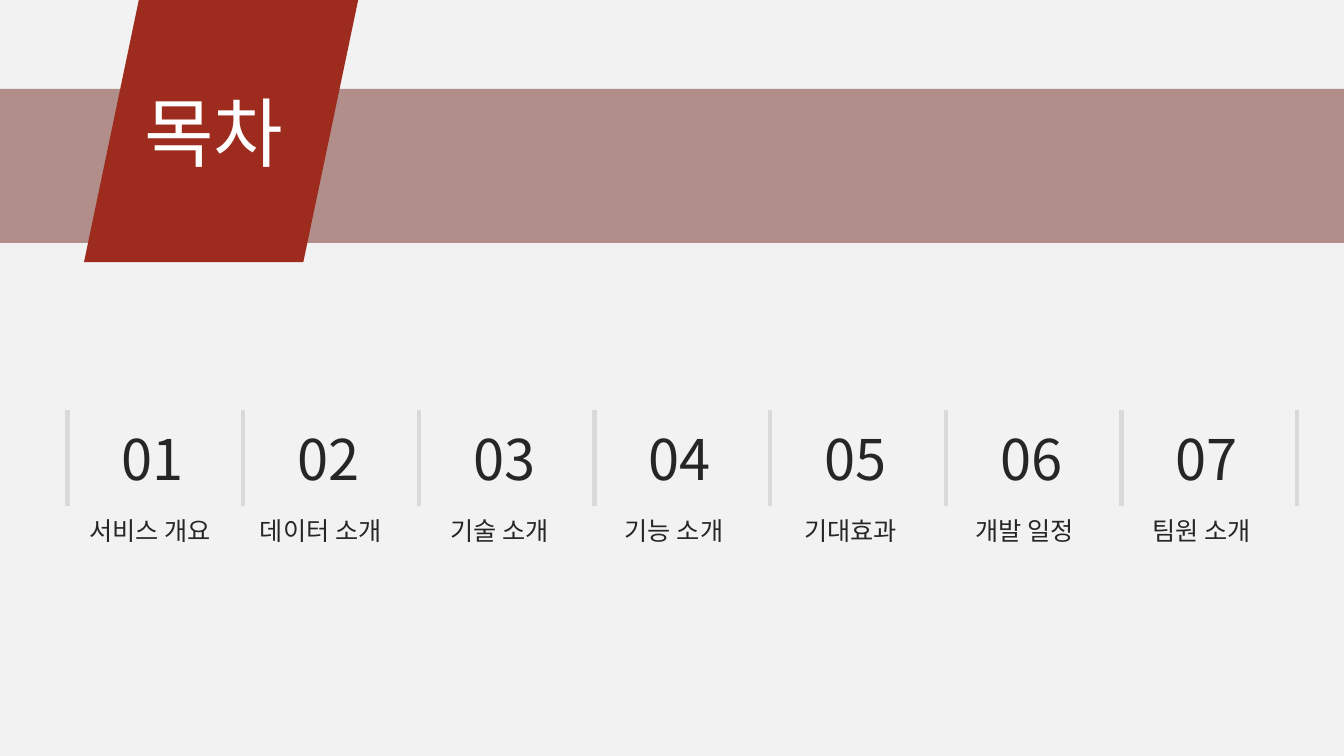
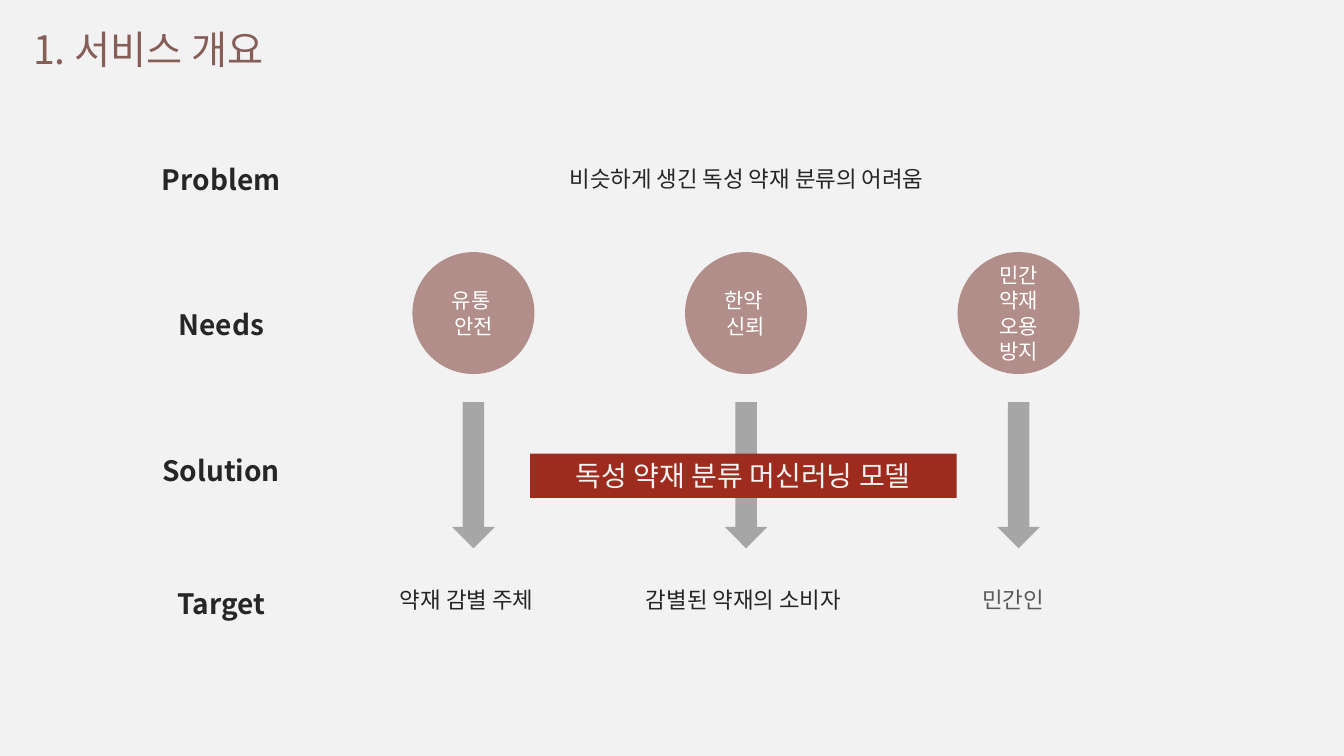
from lxml import etree
from pptx import Presentation, util as u
from pptx.dml.color import RGBColor
from pptx.enum import shapes, text
from pptx.oxml import ns

PAPER = RGBColor(0xF2, 0xF2, 0xF2)
WHITE = RGBColor(0xFF, 0xFF, 0xFF)
INK = RGBColor(0x26, 0x26, 0x26)
SOFT = RGBColor(0x59, 0x59, 0x59)
BROWN = RGBColor(0x86, 0x5E, 0x58)
ROSE = RGBColor(0xB1, 0x8E, 0x89)
RED = RGBColor(0x9E, 0x2C, 0x1E)
GREY = RGBColor(0xA6, 0xA6, 0xA6)
RULE = RGBColor(0xD9, 0xD9, 0xD9)
FONT = "Noto Sans CJK KR"
KIND = shapes.MSO_SHAPE
MID = text.MSO_ANCHOR.MIDDLE
TOP = text.MSO_ANCHOR.TOP


class Deck:
    """Style and current slide; lengths are percentages of the slide's size."""

    def __init__(self):
        self.prs = Presentation()
        self.prs.slide_width = u.Inches(13.33)
        self.prs.slide_height = u.Inches(7.5)
        self.page = None

    def add(self):
        self.page = self.prs.slides.add_slide(self.prs.slide_layouts[6])
        fill = self.page.background.fill
        fill.solid()
        fill.fore_color.rgb = PAPER

    def area(self, x, y, w, h):
        wide, high = self.prs.slide_width, self.prs.slide_height
        return [int(part * full / 100) for part, full in
                ((x, wide), (y, high), (w, wide), (h, high))]

    def typeset(self, frame, lines, size, color, bold=False, center=True):
        """Put each line in its own paragraph and return the runs."""
        runs = []
        for i, line in enumerate(lines):
            para = frame.add_paragraph() if i else frame.paragraphs[0]
            para.alignment = text.PP_ALIGN.CENTER if center else text.PP_ALIGN.LEFT
            run = para.add_run()
            run.text = line
            font = run.font
            font.size, font.bold, font.name = u.Pt(size), bold, FONT
            font.color.rgb = color
            etree.SubElement(run._r.rPr, ns.qn("a:ea")).set("typeface", FONT)
            runs.append(run)
        return runs

    def shape(self, kind, box, fill, lines=(), size=15, color=WHITE, anchor=MID):
        item = self.page.shapes.add_shape(kind, *self.area(*box))
        item.shadow.inherit = False
        item.fill.solid()
        item.fill.fore_color.rgb = fill
        item.line.fill.background()
        item.text_frame.vertical_anchor = anchor
        self.typeset(item.text_frame, lines, size, color)

    def label(self, box, line, size, color=INK, bold=False, center=True,
              wrap=True, grow=True, anchor=TOP):
        frame = self.page.shapes.add_textbox(*self.area(*box)).text_frame
        frame.word_wrap = wrap
        frame.vertical_anchor = anchor
        fit = text.MSO_AUTO_SIZE
        frame.auto_size = fit.SHAPE_TO_FIT_TEXT if grow else fit.NONE
        return self.typeset(frame, [line], size, color, bold, center)[0]

    def title(self, line):
        """Add a heading with a fine, translucent outline."""
        run = self.label((1.73, 2.53, 67.65, 7.73), line, 28, BROWN,
                         center=False, grow=False, anchor=MID)
        edge = etree.Element(ns.qn("a:ln"), w=str(u.Pt(0.25)))
        fill = etree.SubElement(edge, ns.qn("a:solidFill"))
        tint = etree.SubElement(fill, ns.qn("a:srgbClr"), val=str(RULE))
        etree.SubElement(tint, ns.qn("a:alpha"), val="20000")
        run._r.rPr.insert(0, edge)

    def rule(self, x, top, end):
        left, y, _, high = self.area(x, top, 0, end - top)
        line = self.page.shapes.add_connector(
            shapes.MSO_CONNECTOR.STRAIGHT, left, y, left, y + high)
        line.line.color.rgb = RULE
        line.line.width = u.Pt(3)
        etree.SubElement(line._element.spPr, ns.qn("a:effectLst"))


def contents(deck):
    deck.add()
    deck.shape(KIND.RECTANGLE, (0, 11.75, 100, 20.4), ROSE)
    deck.shape(KIND.FLOWCHART_DATA, (6.25, 0, 20.4, 34.67), RED)
    deck.label((10, 10.67, 12.9, 13.47), "목차", 54, WHITE,
               center=False, wrap=False)
    topics = [("서비스 개요", 5.93, 11.63), ("데이터 소개", 18.6, 11.63),
              ("기술 소개", 32.78, 9.75), ("기능 소개", 45.75, 9.75),
              ("기대효과", 59.1, 9.08), ("개발 일정", 71.85, 9.75),
              ("팀원 소개", 84.98, 9.75)]
    start, step = 5.03, 13.07
    for i, (name, left, wide) in enumerate(topics):
        x = start + step * i
        deck.rule(x, 54.27, 66.93)
        deck.label((x + 3.3, 55.47, 6.15, 10.27), f"{i + 1:02}", 40,
                   center=False, wrap=False)
        deck.label((left, 67.47, wide, 5.33), name, 18,
                   center=False, wrap=False)
    deck.rule(start + step * len(topics), 54.27, 66.93)


def outline(deck):
    deck.add()
    deck.title("1. 서비스 개요")
    for name, y, wide in (("Problem", 20.8, 14.55), ("Needs", 40, 12.23),
                          ("Solution", 59.33, 17.48), ("Target", 76.93, 12.23)):
        deck.label((16.46 - wide / 2, y, wide, 5.87), name, 20, bold=True)
    deck.label((34.05, 21.2, 43, 4.93), "비슷하게 생긴 독성 약재 분류의 어려움", 16)

    needs = [
        (["유통 ", "안전"], "약재 감별 주체", 25.2, 19.05, INK),
        (["한약 ", "신뢰"], "감별된 약재의 소비자", 45.53, 19.58, INK),
        (["민간", "약재", "오용", "방지"], " 민간인", 69.08, 12.22, SOFT),
    ]
    for i, (need, target, left, wide, color) in enumerate(needs):
        mid = 35.23 + 20.28 * i
        deck.shape(KIND.DOWN_ARROW, (mid - 1.6, 53.2, 3.2, 19.33), GREY)
        deck.shape(KIND.OVAL, (mid - 4.54, 33.35, 9.08, 16.13), ROSE, need)
        deck.label((left, 76.93, wide, 4.93), target, 16, color)
    deck.shape(KIND.RECTANGLE, (39.45, 60, 31.73, 5.87), RED,
               ["독성 약재 분류 머신러닝 모델"], 20, PAPER, TOP)


def main():
    deck = Deck()
    contents(deck)
    outline(deck)
    deck.prs.save("out.pptx")


if __name__ == "__main__":
    main()
